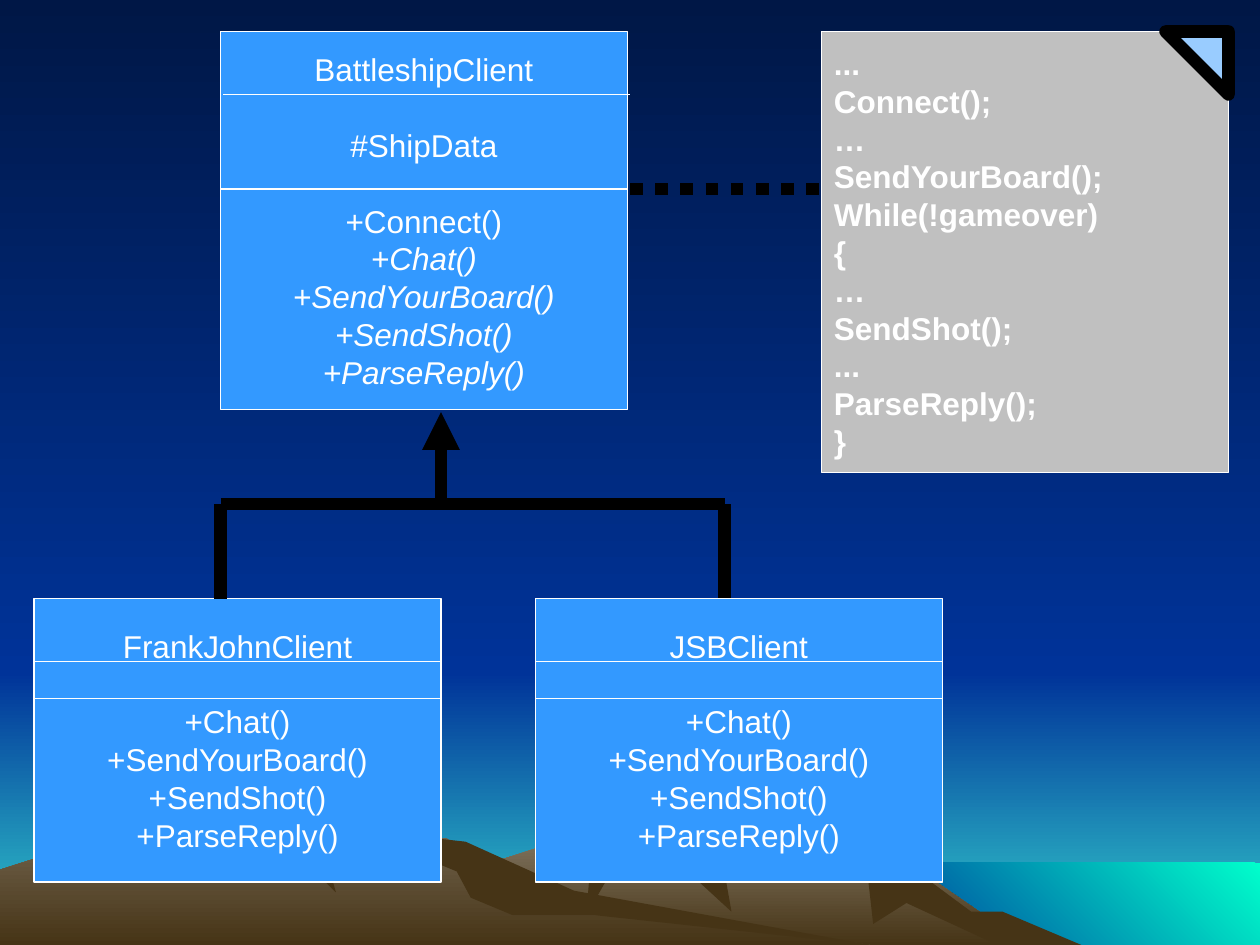
from dataclasses import dataclass

from lxml import etree
from pptx import Presentation
from pptx.dml.color import RGBColor
from pptx.enum import dml, shapes, text
from pptx.oxml import ns
from pptx.util import Pt

COLORS = {
    "night": "001746", "sky": "003399", "horizon": "33CCCC", "surf": "00FFCC",
    "far": "837763", "near": "72644E", "earth": "463416",
    "box": "3399FF", "note": "C0C0C0", "fold": "99CCFF",
    "white": "FFFFFF", "black": "000000",
}
WIDTH, HEIGHT = 720, 540
MARGIN, BOX_W, LEADING = 18, 232.5, 21.6
THIN, THICK = 0.75, 7.2
FONT = {"name": "Arial", "size": Pt(18)}


@dataclass
class Scenery:
    """Filled outline; one colour is solid, two make a gradient."""
    colors: tuple
    points: list
    angle: int = 270


@dataclass
class Line:
    start: tuple
    end: tuple
    color: str = "black"
    width: float = THICK
    dash: object = None
    arrow: bool = False


@dataclass
class Entry:
    text: str
    gap: float = 0
    italic: bool = False


@dataclass
class Box:
    left: float
    top: float
    height: float
    entries: list
    dividers: tuple = ()  # (x shift, y offset) pairs
    fill: str = "box"
    bold: bool = False
    align: object = text.PP_ALIGN.CENTER


def rgb(name: str) -> RGBColor:
    return RGBColor.from_string(COLORS[name])


def paint(fill, colors: tuple, angle: int = 270) -> None:
    if len(colors) == 1:
        fill.solid()
        fill.fore_color.rgb = rgb(colors[0])
        return
    fill.gradient()
    fill.gradient_angle = angle
    for stop, name in zip(fill.gradient_stops, colors):
        stop.color.rgb = rgb(name)


def outline(line, color: str, width: float) -> None:
    line.color.rgb = rgb(color)
    line.width = Pt(width)


def block(left: float, top: float, bottom: float) -> list:
    """Rectangle that runs to the right edge of the slide."""
    return [(left, top), (WIDTH, top), (WIDTH, bottom), (left, bottom)]


def draw_scenery(s, item: Scenery) -> None:
    first, *rest = item.points
    builder = s.shapes.build_freeform(*first, scale=Pt(1))
    builder.add_line_segments(rest)
    sp = builder.convert_to_shape()
    sp.shadow.inherit = False
    paint(sp.fill, item.colors, item.angle)
    sp.line.fill.background()


def draw_line(s, item: Line) -> None:
    ends = [Pt(v) for v in (*item.start, *item.end)]
    cxn = s.shapes.add_connector(shapes.MSO_CONNECTOR.STRAIGHT, *ends)
    outline(cxn.line, item.color, item.width)
    if item.dash:
        cxn.line.dash_style = item.dash
    if item.arrow:
        ln = cxn._element.spPr.find(ns.qn("a:ln"))
        etree.SubElement(ln, ns.qn("a:tailEnd"), type="triangle")
    etree.SubElement(cxn._element.spPr, ns.qn("a:effectLst"))


def add_shape(s, kind, area: tuple, fill: str, color: str, width: float):
    sp = s.shapes.add_shape(kind, *[Pt(v) for v in area])
    sp.shadow.inherit = False
    paint(sp.fill, (fill,))
    outline(sp.line, color, width)
    return sp


def draw_box(s, box: Box) -> None:
    sp = add_shape(s, shapes.MSO_SHAPE.RECTANGLE,
                   (box.left, box.top, BOX_W, box.height), box.fill, "white", THIN)
    tf = sp.text_frame
    tf.word_wrap = True
    tf.vertical_anchor = text.MSO_ANCHOR.MIDDLE
    for i, entry in enumerate(box.entries):
        p = tf.paragraphs[0] if i == 0 else tf.add_paragraph()
        layout = {"alignment": box.align, "line_spacing": Pt(LEADING),
                  "space_before": Pt(entry.gap)}
        for key, value in layout.items():
            setattr(p, key, value)
        r = p.add_run()
        r.text = entry.text
        for key, value in {**FONT, "bold": box.bold, "italic": entry.italic}.items():
            setattr(r.font, key, value)
        r.font.color.rgb = rgb("white")
    for shift, offset in box.dividers:
        x, y = box.left + shift, box.top + offset
        draw_line(s, Line((x, y), (x + BOX_W, y), "white", THIN))


# Sky, sea and hills, back to front
SKYLINE = 384
SCENERY = [
    Scenery(("sky", "horizon"), block(0, SKYLINE, HEIGHT)),
    Scenery(("night", "sky"), block(0, 0, SKYLINE)),
    Scenery(("surf", "sky"), block(492, 493, HEIGHT), 225),
    Scenery(("far", "earth"), [(186, HEIGHT), (284, 492), (340, 474), (493, 475),
                               (577, 533), (591, HEIGHT)]),
    Scenery(("earth",), [(493, 475), (555, 521), (573, 521), (618, HEIGHT),
                         (570, HEIGHT), (518, 516), (499, 528)]),
    Scenery(("earth",), [(339, 474), (335, 523), (358, 483)]),
    Scenery(("earth",), [(381, 487), (418, 521), (415, 504)]),
    Scenery(("near", "earth"), [(0, 497), (25, 489), (150, 474), (255, 479),
                                (311, 513), (497, HEIGHT), (0, HEIGHT)]),
    Scenery(("earth",), [(155, 474), (192, 510), (188, 496)]),
    Scenery(("earth",), [(248, 479), (266, 481), (328, 509), (497, HEIGHT), (340, 523),
                         (293, 523), (269, 513), (261, 498), (244, 491)]),
]

# Class boxes and code note
STEPS = ["+Chat()", "+SendYourBoard()", "+SendShot()", "+ParseReply()"]
CODE = ["...", "Connect();", "…", "SendYourBoard();", "While(!gameover)", "{", "…",
        "SendShot();", "...", "ParseReply();", "}"]
BASE = Box(126, MARGIN, 216,
           [Entry("BattleshipClient"), Entry("#ShipData", LEADING),
            Entry("+Connect()", LEADING), *[Entry(step, italic=True) for step in STEPS]],
           ((1.5, 36), (0, 90)))
NOTE = Box(469.5, MARGIN, 252 , [Entry(row) for row in CODE], fill="note", bold=True,
           align=text.PP_ALIGN.LEFT)
CHILD_TOP = 342
CLIENTS = [
    Box(left, CHILD_TOP, 162,
        [Entry(name), Entry(STEPS[0], LEADING), *map(Entry, STEPS[1:])],
        ((0, 36), (0, 57)))
    for left, name in ((19.5, "FrankJohnClient"), (306, "JSBClient"))
]

# Inheritance tree and link to the note
BAR_Y, BRANCHES = 288, (126, 414)
TREE = [
    *[Line((x, CHILD_TOP), (x, BAR_Y)) for x in BRANCHES],
    Line((BRANCHES[0], BAR_Y), (BRANCHES[1], BAR_Y)),
    Line((252, BAR_Y + 2), (252, 235.5), arrow=True),
]
NOTE_LINK = Line((360, 108), (468, 108), dash=dml.MSO_LINE.ROUND_DOT)


def main() -> None:
    prs = Presentation()
    prs.slide_width, prs.slide_height = Pt(WIDTH), Pt(HEIGHT)
    s = prs.slides.add_slide(prs.slide_layouts[6])
    paint(s.background.fill, ("night", "sky"))
    for item in SCENERY:
        draw_scenery(s, item)
    for box in (BASE, CLIENTS[0]):
        draw_box(s, box)
    for line in TREE:
        draw_line(s, line)
    draw_box(s, NOTE)
    corner, side = NOTE.left + BOX_W, 36
    fold = add_shape(s, shapes.MSO_SHAPE.RIGHT_TRIANGLE,
                     (corner - side, MARGIN, side, side), "fold", "black", THICK)
    fold.rotation = 180
    draw_box(s, CLIENTS[1])
    draw_line(s, NOTE_LINK)
    prs.save("out.pptx")


if __name__ == "__main__":
    main()
